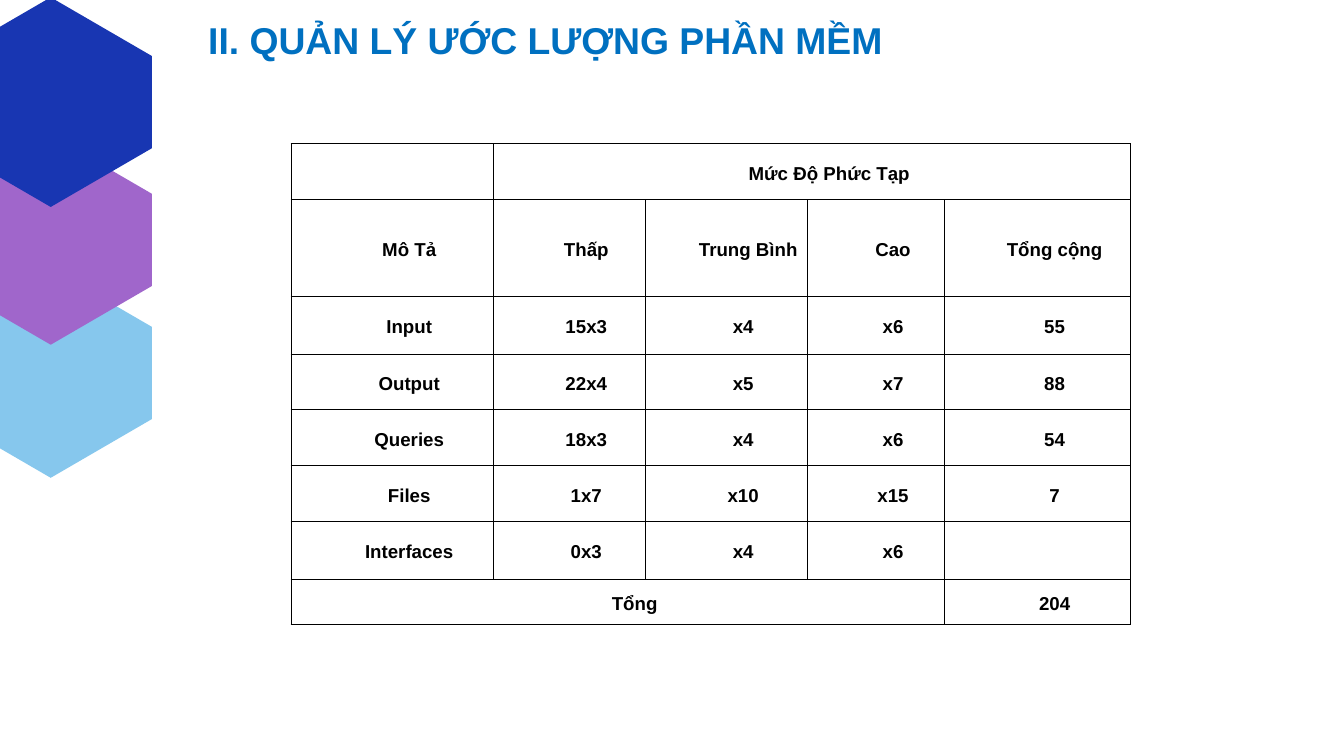
from collections import namedtuple

from lxml.etree import SubElement
from pptx import Presentation
from pptx.dml.color import RGBColor
from pptx.enum.text import MSO_ANCHOR as Anchor, MSO_AUTO_SIZE as AutoSize, PP_ALIGN as Align
from pptx.oxml.ns import qn
from pptx.util import Inches, Pt

Box = namedtuple("Box", "left top width height")

COLUMNS, ROWS = 80, 45
UNIT = Inches(0.25)
FONT = "Arial"
INDENT = 2
WIDE_INDENT = 2.6

HEXAGONS = [("86C7ED", 15.96), ("A066CB", 8.04), ("1836B2", -0.16)]

COLUMN_WIDTHS = [12.08, 9, 9.68, 8.16, 11.08]
ROW_HEIGHTS = [3.32, 5.76, 3.44, 3.32, 3.32, 3.32, 3.44, 2.68]
ESTIMATES = [
    ["", "Mức Độ Phức Tạp", "", "", ""],
    ["Mô Tả", "Thấp", "Trung Bình", "Cao", "Tổng cộng"],
    ["Input", "15x3", "x4", "x6", "55"],
    ["Output", "22x4", "x5", "x7", "88"],
    ["Queries", "18x3", "x4", "x6", "54"],
    ["Files", "1x7", "x10", "x15", "7"],
    ["Interfaces", "0x3", "x4", "x6", ""],
    ["Tổng", "", "", "", "204"],
]
MERGES = [((0, 1), (0, 4)), ((7, 0), (7, 3))]


def grid(count):
    """Turn a number of grid units into a length."""
    return round(count * UNIT)


def color(code):
    """Turn a hex string into a colour."""
    return RGBColor.from_string(code)


def style_font(para, size, code):
    """Set the bold face, size and colour of a paragraph."""
    font = para.font
    font.name, font.size, font.bold = FONT, Pt(size), True
    font.color.rgb = color(code)


def add_hexagon(page, box, code):
    """Draw a pointed-top hexagon that fills the box."""
    left, top, width, height = box
    shares = [(0, 0.28), (0, 0.72), (0.5, 1), (1, 0.72), (1, 0.28), (0.5, 0)]
    points = [(grid(left + x * width), grid(top + y * height)) for x, y in shares]
    builder = page.shapes.build_freeform(*points[0])
    builder.add_line_segments(points[1:], close=True)
    hexagon = builder.convert_to_shape()
    hexagon.shadow.inherit = False
    hexagon.fill.solid()
    hexagon.fill.fore_color.rgb = color(code)
    hexagon.line.fill.background()


def add_title(page, box):
    """Write the heading in the box."""
    frame = page.shapes.add_textbox(*map(grid, box)).text_frame
    frame.word_wrap = True
    frame.auto_size = AutoSize.SHAPE_TO_FIT_TEXT
    para = frame.paragraphs[0]
    para.text = "II. QUẢN LÝ ƯỚC LƯỢNG PHẦN MỀM"
    style_font(para, 40, "0070C0")


def add_borders(cell, code):
    """Rule all four sides of a cell with a one-point line."""
    properties = cell._tc.get_or_add_tcPr()
    for side in ("lnL", "lnR", "lnT", "lnB"):
        line = SubElement(properties, qn(f"a:{side}"), w=str(Pt(1)))
        fill = SubElement(line, qn("a:solidFill"))
        SubElement(fill, qn("a:srgbClr"), val=code)


def fill_cell(cell, text):
    """Format a cell and write its text."""
    add_borders(cell, "000000")
    cell.fill.background()
    cell.vertical_anchor = Anchor.MIDDLE
    cell.margin_left = cell.margin_right = Inches(0.07)
    cell.margin_top = cell.margin_bottom = 0
    para = cell.text_frame.paragraphs[0]
    style_font(para, 20, "000000")
    if text:
        para.text = text
        para.alignment = Align.CENTER
        para.line_spacing = 1.2
        para.space_before = para.space_after = Pt(6)
        indent = WIDE_INDENT if text == "Trung Bình" else INDENT
        para._p.get_or_add_pPr().set("indent", str(grid(indent)))


def add_estimates(page, box):
    """Place the estimate table in the box."""
    frame = page.shapes.add_table(len(ROW_HEIGHTS), len(COLUMN_WIDTHS), *map(grid, box))
    table = frame.table
    table.first_row = table.horz_banding = False
    for column, width in zip(table.columns, COLUMN_WIDTHS):
        column.width = grid(width)
    for row, height, texts in zip(table.rows, ROW_HEIGHTS, ESTIMATES):
        row.height = grid(height)
        for cell, text in zip(row.cells, texts):
            fill_cell(cell, text)
    for first, last in MERGES:
        table.cell(*first).merge(table.cell(*last))


def main():
    """Build the slide and save the deck."""
    deck = Presentation()
    deck.slide_width, deck.slide_height = grid(COLUMNS), grid(ROWS)
    page = deck.slides.add_slide(deck.slide_layouts[6])
    for code, top in HEXAGONS:
        add_hexagon(page, Box(-3, top, 12.04, 12.48), code)
    add_title(page, Box(12, 0.84, 41.52, 3.08))
    add_estimates(page, Box(17.32, 8.56, sum(COLUMN_WIDTHS), sum(ROW_HEIGHTS)))
    deck.save("out.pptx")


if __name__ == "__main__":
    main()
